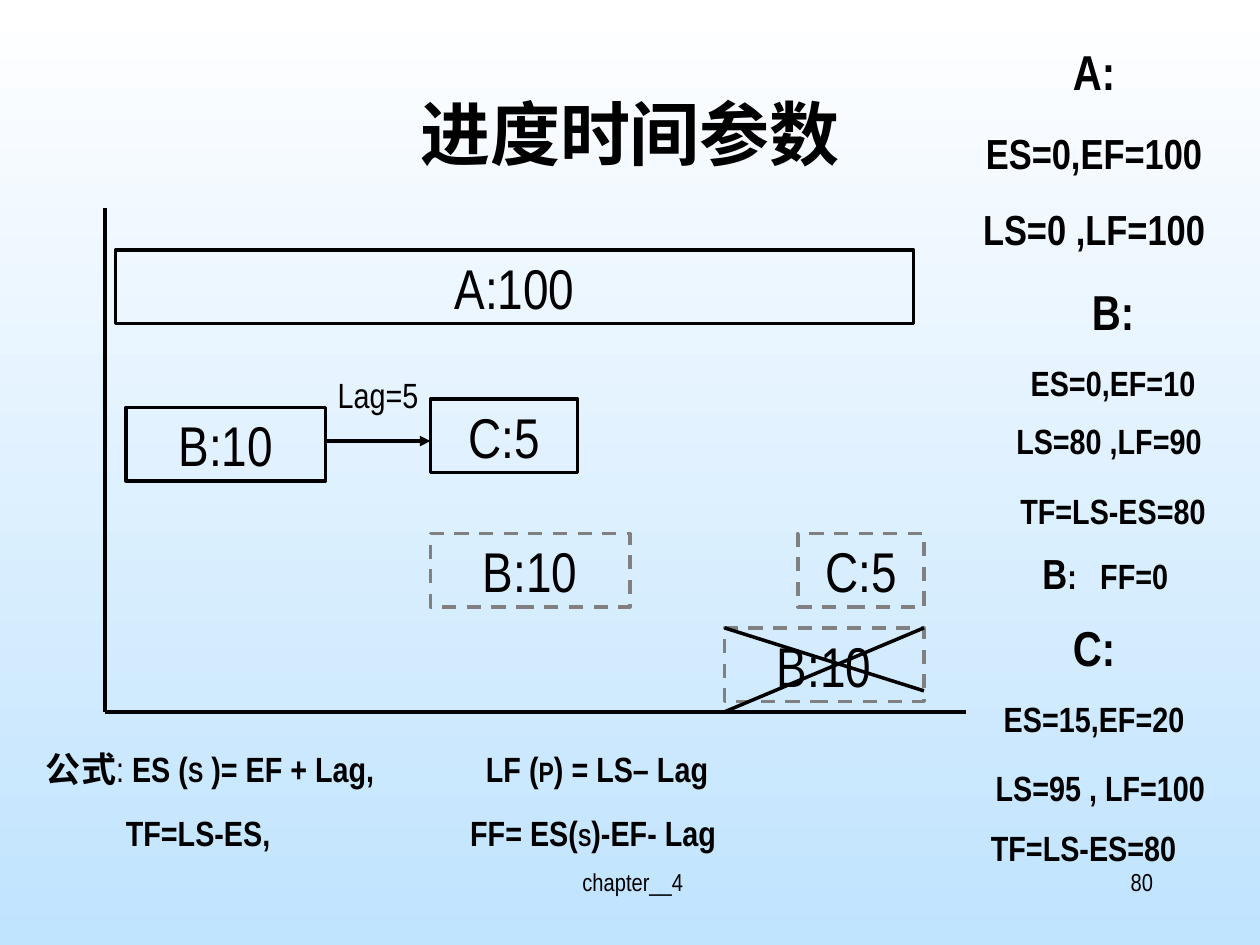
from lxml.etree import SubElement
from pptx import Presentation
from pptx.dml.color import RGBColor
from pptx.enum.dml import MSO_LINE
from pptx.enum.shapes import MSO_CONNECTOR, MSO_SHAPE
from pptx.enum.text import MSO_ANCHOR, PP_ALIGN
from pptx.oxml.ns import qn
from pptx.util import Inches, Pt

COLORS = {"ink": "000000", "planned": "808080", "top": "FFFFFF", "bottom": "C0E3FE"}
LATIN, CHINESE = "Arial Narrow", "Noto Sans CJK SC"
CELL = 1 / 12  # grid of 120 columns by 90 rows
BAR_HEIGHT = 7
LINE_HEIGHT = 5.3


def grid(*cells):
    return [Inches(cell * CELL) for cell in cells]


def color(name):
    return RGBColor.from_string(COLORS[name])


def add_span(para, text, size, bold, font):
    span = para.add_run()
    span.text = text
    span.font.size, span.font.bold, span.font.name = Pt(size), bold, font
    span.font.color.rgb = color("ink")
    SubElement(span.font._element, qn("a:ea"), typeface=CHINESE)


def write(frame, lines, size=20, bold=False, font=LATIN, align=PP_ALIGN.CENTER, tabs=()):
    """Each line is a string or a list of (text, format) spans; tabs holds stops per line."""
    for index, line in enumerate(lines):
        para = frame.paragraphs[0] if index == 0 else frame.add_paragraph()
        para.alignment = align
        spans = [(line, {})] if isinstance(line, str) else line
        if tabs:
            stops = SubElement(para._p.get_or_add_pPr(), qn("a:tabLst"))
            for stop in tabs[index]:
                SubElement(stops, qn("a:tab"), pos=str(grid(stop)[0]), algn="l")
        for text, style in spans:
            add_span(para, text, **{"size": size, "bold": bold, "font": font, **style})
        if index:
            para.space_before = Pt(spans[0][1].get("size", size) * 0.625)


def add_text(page, box, lines, **style):
    frame = page.shapes.add_textbox(*grid(*box)).text_frame
    frame.word_wrap = True
    write(frame, lines, **style)


def add_line(page, start, end, arrow=False):
    line = page.shapes.add_connector(MSO_CONNECTOR.STRAIGHT, *grid(*start, *end))
    line.line.color.rgb, line.line.width = color("ink"), Pt(2)
    if arrow:
        SubElement(line.line._get_or_add_ln(), qn("a:tailEnd"), type="triangle")
    SubElement(line._element.spPr, qn("a:effectLst"))


def add_bar(page, box, label, planned=False):
    bar = page.shapes.add_shape(MSO_SHAPE.RECTANGLE, *grid(*box))
    bar.shadow.inherit = False
    bar.fill.background()
    bar.line.width = Pt(2)
    bar.line.color.rgb = color("planned" if planned else "ink")
    if planned:
        bar.line.dash_style = MSO_LINE.DASH
    bar.text_frame.word_wrap = False
    bar.text_frame.vertical_anchor = MSO_ANCHOR.MIDDLE
    write(bar.text_frame, [label], size=32)


def schedule(page, box):
    left, top, width, height = box

    def at(column, row):
        return left + column, top + row

    # Axes
    add_line(page, at(0, 0), at(0, height))
    add_line(page, at(0, height), at(width, height))
    # Activity bars; the planned ones are dashed
    bars = [
        (1, 4, 76, "A:100", False),
        (2, 19, 19, "B:10", False),
        (31, 31, 19, "B:10", True),
        (31, 18.2, 14, "C:5", False),
        (66, 31, 12, "C:5", True),
        (59, 40, 19, "B:10", True),
    ]
    for column, row, length, label, planned in bars:
        add_bar(page, (*at(column, row), length, BAR_HEIGHT), label, planned)
    # Cross over the rejected bar
    add_line(page, at(59, height), at(78, 40))
    add_line(page, at(78, 46), at(59, 40))
    # Lag between B and C
    add_text(page, (*at(20, 15.2), 12, LINE_HEIGHT), ["Lag=5"])
    add_line(page, at(21, 22.2), at(31, 22.2), arrow=True)


def parameters(page, box):
    left, top, _, _ = box
    heading, large = {"size": 28}, {"size": 24}
    notes = [
        (1, 0, 24, 21.5, [[("A:", heading)], [("ES=0,EF=100", large)], [("LS=0 ,LF=100 ", large)]]),
        (0.8, 22.8, 28, 13, [[("B:", heading)], "ES=0,EF=10"]),
        (0.8, 36, 28, LINE_HEIGHT, ["LS=80 ,LF=90 "]),
        (0.8, 42.6, 28, LINE_HEIGHT, ["TF=LS-ES=80"]),
        (1, 54.8, 24, 13, [[("C:", heading)], "ES=15,EF=20"]),
        (1.6, 69, 24, LINE_HEIGHT, ["LS=95 , LF=100"]),
        (0, 74.7, 24, LINE_HEIGHT, ["TF=LS-ES=80"]),
    ]
    for column, row, width, height, lines in notes:
        add_text(page, (left + column, top + row, width, height), lines, bold=True)
    # Free float of B, set on tab stops
    add_text(page, (left + 2.5, top + 48.2, 23.2, 6), [[("\tB", large), (":\tFF=0", {})]],
             bold=True, align=PP_ALIGN.LEFT, tabs=[(4.4, 9.9)])


def formulas(page, box):
    lines = [
        [("公式", {}), (": ", {"bold": False}), ("ES (", {}), ("S", {"size": 16}),
         (" )= EF + Lag,\tLF (", {}), ("P", {"size": 16}), (") = LS– Lag", {})],
        [("\tTF=LS-ES,\tFF= ES(", {}), ("S", {"size": 14}), (")-EF- Lag", {})],
    ]
    add_text(page, box, lines, bold=True, align=PP_ALIGN.LEFT, tabs=[(41.9,), (7.6, 40.4)])


def footer(page, box):
    left, top, width, height = box
    add_text(page, (left, top, 38, height), [" chapter__4"], size=14)
    add_text(page, (left + width - 25, top, 25, height), ["80"], size=14, align=PP_ALIGN.RIGHT)


def background(page):
    fill = page.background.fill
    fill.gradient()
    fill.gradient_angle = 270
    for stop, name in zip(fill.gradient_stops, ("top", "bottom")):
        stop.color.rgb = color(name)


def main():
    deck = Presentation()
    deck.slide_width, deck.slide_height = grid(120, 90)
    page = deck.slides.add_slide(deck.slide_layouts[6])
    background(page)
    footer(page, (41, 82, 70, 6))
    add_text(page, (9, 8, 102, 15), ["进度时间参数"], size=40, bold=True, font=CHINESE)
    schedule(page, (10, 19.8, 82, 48))
    formulas(page, (3.2, 70.6, 81.2, 11.3))
    parameters(page, (91.2, 3.4, 28.8, 80))
    deck.save("out.pptx")


if __name__ == "__main__":
    main()
